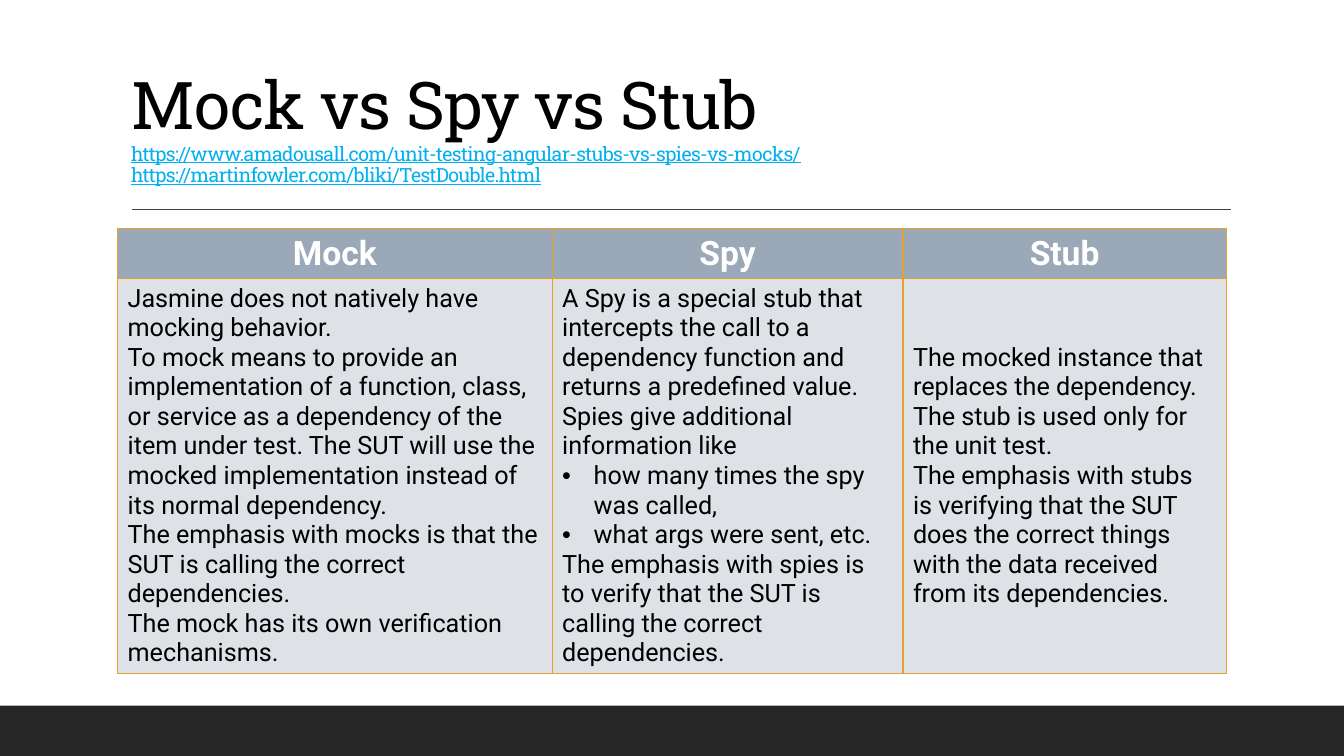
from copy import deepcopy
from dataclasses import dataclass

from lxml.etree import SubElement
from pptx import Presentation
from pptx.dml.color import RGBColor
from pptx.enum.shapes import MSO_CONNECTOR, MSO_SHAPE
from pptx.enum.text import MSO_ANCHOR, MSO_AUTO_SIZE, PP_ALIGN
from pptx.oxml.ns import qn
from pptx.util import Pt


@dataclass(frozen=True)
class Theme:
    heading_font: str = "Roboto Slab"
    body_font: str = "Roboto"
    title_size: int = 47
    link_size: int = 14
    header_size: int = 24
    body_size: int = 18
    black: str = "000000"
    white: str = "FFFFFF"
    link: str = "00B0F0"
    footer: str = "262626"
    rule: str = "404040"
    header_fill: str = "9BA8B7"
    body_fill: str = "DEE1E6"
    border: str = "E6A02E"


THEME = Theme()
BULLET_INDENT = 22.5

HEADING = "Mock vs Spy vs Stub"
SOURCES = [
    "https://www.amadousall.com/unit-testing-angular-stubs-vs-spies-vs-mocks/",
    "https://martinfowler.com/bliki/TestDouble.html",
]

# Each column: name, width, paragraphs; a leading bullet marks a list item
COLUMNS = [
    ("Mock", 310.4, [
        "Jasmine does not natively have mocking behavior.",
        "To mock means to provide an implementation of a function, class, or service "
        "as a dependency of the item under test. The SUT will use the mocked "
        "implementation instead of its normal dependency.",
        "The emphasis with mocks is that the SUT is calling the correct dependencies.",
        "The mock has its own verification mechanisms.",
    ]),
    ("Spy", 250.6, [
        "A Spy is a special stub that intercepts the call to a dependency function and "
        "returns a predefined value. Spies give additional information like",
        "•how many times the spy was called,",
        "•what args were sent, etc.",
        "The emphasis with spies is to verify that the SUT is calling the correct "
        "dependencies.",
    ]),
    ("Stub", 231, [
        "The mocked instance that replaces the dependency. The stub is used only for "
        "the unit test.",
        "The emphasis with stubs is verifying that the SUT does the correct things with "
        "the data received from its dependencies.",
    ]),
]


def rgb(value):
    return RGBColor.from_string(value)


def add_text(paragraph, text, color, **font_values):
    run = paragraph.add_run()
    run.text = text
    run.font.color.rgb = rgb(color)
    for attribute, value in font_values.items():
        setattr(run.font, attribute, value)
    return run


def add_title(slide, left, top, width, height):
    title = slide.shapes.title
    frame = title.text_frame
    placement = dict(left=Pt(left), top=Pt(top), width=Pt(width), height=Pt(height))
    layout = dict(auto_size=MSO_AUTO_SIZE.NONE, word_wrap=True,
                  vertical_anchor=MSO_ANCHOR.BOTTOM)
    for target, values in ((title, placement), (frame, layout)):
        for attribute, value in values.items():
            setattr(target, attribute, value)

    paragraph = frame.paragraphs[0]
    paragraph.alignment = PP_ALIGN.LEFT
    paragraph.line_spacing = 0.9
    heading_style = dict(color=THEME.black, size=Pt(THEME.title_size))
    link_style = dict(color=THEME.link, size=Pt(THEME.link_size), underline=True)
    lines = [(HEADING, heading_style)] + [(source, link_style) for source in SOURCES]
    for number, (text, style) in enumerate(lines, 1):
        run = add_text(paragraph, text, name=THEME.heading_font, **style)
        properties = run.font._element
        properties.set("spc", "-50")
        # A line break takes the size of the line it ends
        if number < len(lines):
            paragraph.add_line_break()
            paragraph._p.findall(qn("a:br"))[-1].append(deepcopy(properties))


def add_rule(slide, left, top, width):
    rule = slide.shapes.add_connector(
        MSO_CONNECTOR.STRAIGHT, Pt(left), Pt(top), Pt(left + width), Pt(top))
    rule.line.color.rgb = rgb(THEME.rule)
    rule.line.width = Pt(1)
    SubElement(rule._element.spPr, qn("a:effectLst"))


def add_footer(slide, left, top, width, height):
    footer = slide.shapes.add_shape(
        MSO_SHAPE.RECTANGLE, Pt(left), Pt(top), Pt(width), Pt(height))
    footer.shadow.inherit = False
    footer.fill.solid()
    footer.fill.fore_color.rgb = rgb(THEME.footer)
    footer.line.fill.background()


def style_cell(cell, fill):
    cell.vertical_anchor = MSO_ANCHOR.MIDDLE
    cell.fill.solid()
    cell.fill.fore_color.rgb = rgb(fill)
    properties = cell._tc.get_or_add_tcPr()
    # Borders come before the fill
    for position, side in enumerate(("lnL", "lnR", "lnT", "lnB")):
        border = SubElement(properties, qn(f"a:{side}"), w=str(Pt(1)))
        border_fill = SubElement(border, qn("a:solidFill"))
        SubElement(border_fill, qn("a:srgbClr"), val=THEME.border)
        properties.insert(position, border)


def set_bullet(paragraph):
    properties = paragraph._p.get_or_add_pPr()
    properties.set("marL", str(Pt(BULLET_INDENT)))
    properties.set("indent", str(-Pt(BULLET_INDENT)))
    SubElement(properties, qn("a:buFont"), typeface="Arial")
    SubElement(properties, qn("a:buChar"), char="•")


def add_comparison(slide, left, top, width, row_heights):
    table = slide.shapes.add_table(
        len(row_heights), len(COLUMNS), Pt(left), Pt(top), Pt(width),
        Pt(sum(row_heights))).table
    table.horz_banding = False
    for row, height in zip(table.rows, row_heights):
        row.height = Pt(height)

    for index, (name, column_width, explanation) in enumerate(COLUMNS):
        table.columns[index].width = Pt(column_width)
        header, body = table.cell(0, index), table.cell(1, index)

        # Column heading
        style_cell(header, THEME.header_fill)
        heading = header.text_frame.paragraphs[0]
        heading.alignment = PP_ALIGN.CENTER
        add_text(heading, name, THEME.white, name=THEME.body_font,
                 size=Pt(THEME.header_size), bold=True)

        # Explanation
        style_cell(body, THEME.body_fill)
        frame = body.text_frame
        for number, text in enumerate(explanation):
            paragraph = frame.add_paragraph() if number else frame.paragraphs[0]
            paragraph.alignment = PP_ALIGN.LEFT
            if text.startswith("•"):
                set_bullet(paragraph)
            add_text(paragraph, text.lstrip("•"), THEME.black, name=THEME.body_font,
                     size=Pt(THEME.body_size), bold=False)


def main():
    presentation = Presentation()
    presentation.slide_width, presentation.slide_height = Pt(960), Pt(540)
    slide = presentation.slides.add_slide(presentation.slide_layouts[5])
    add_footer(slide, 0, 504, 960, 36)
    add_rule(slide, 94.3, 149.5, 785)
    add_title(slide, 86.4, 22.3, 792, 114.5)
    add_comparison(slide, 84, 163.5, 792, (35, 282))
    presentation.save("out.pptx")


if __name__ == "__main__":
    main()
